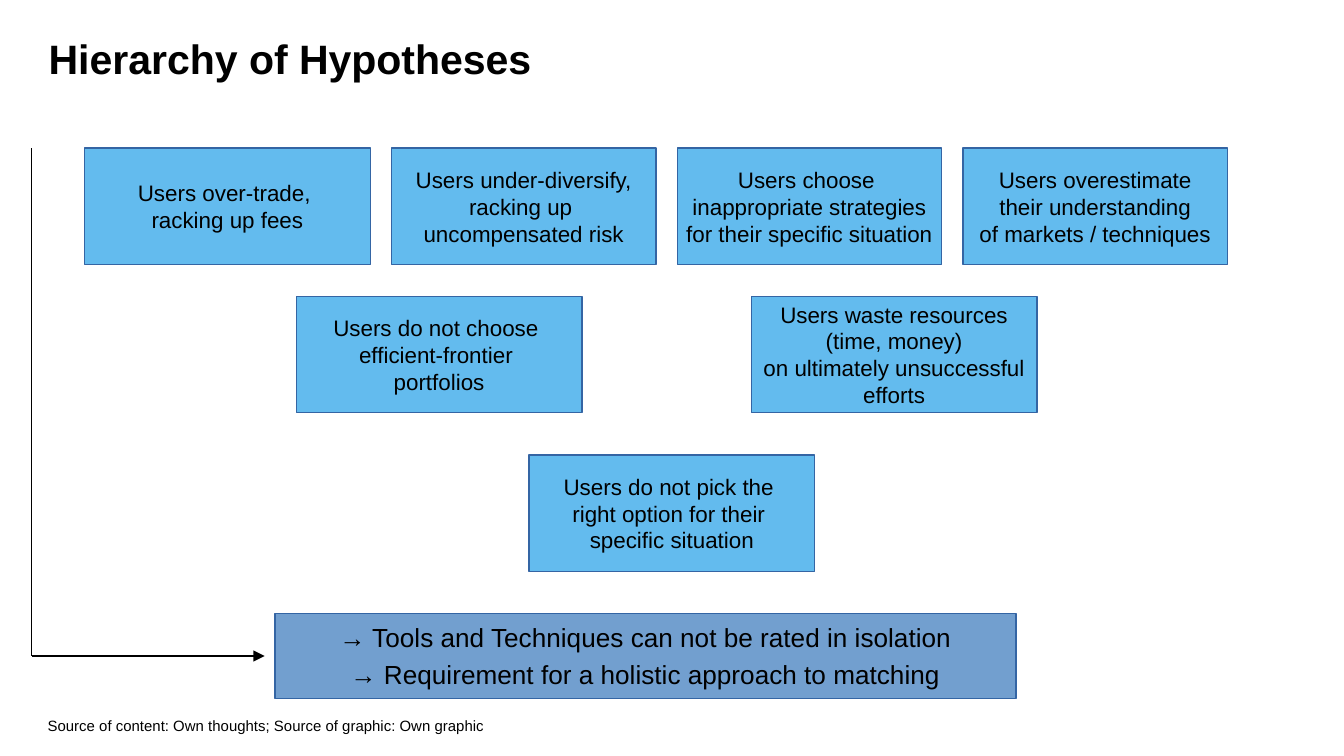
from typing import NamedTuple

from lxml.etree import SubElement
from pptx import Presentation
from pptx.dml.color import RGBColor
from pptx.enum.shapes import MSO_CONNECTOR, MSO_SHAPE
from pptx.enum.text import MSO_ANCHOR, PP_ALIGN
from pptx.oxml.ns import qn
from pptx.util import Cm, Pt

COLORS = {
    "text": "000000",
    "hypothesis": "63BBEE",
    "conclusion": "729FCF",
    "border": "3465A4",
    "line": "000000",
}
FONT = "Arial"
BOX_HEIGHT = 2.2


class Box(NamedTuple):
    text: str
    width: float = 5.4


class Row(NamedTuple):
    left: float
    top: float
    gap: float
    boxes: list[Box]


ROWS = [
    Row(1.6, 2.8, 0.4, [
        Box("Users over-trade, \nracking up fees"),
        Box("Users under-diversify,\nracking up \nuncompensated risk", 5),
        Box("Users choose \ninappropriate strategies\nfor their specific situation", 5),
        Box("Users overestimate\ntheir understanding\nof markets / techniques", 5),
    ]),
    Row(5.6, 5.6, 3.2, [
        Box("Users do not choose \nefficient-frontier \nportfolios"),
        Box("Users waste resources\n(time, money)\non ultimately unsuccessful\nefforts"),
    ]),
    Row(10, 8.6, 0, [
        Box("Users do not pick the \nright option for their \nspecific situation"),
    ]),
]


def color(name: str) -> RGBColor:
    return RGBColor.from_string(COLORS[name])


def write_text(text_frame, text: str, *, size: float, bold: bool = False,
               align: PP_ALIGN = PP_ALIGN.LEFT, space_before: float = 0) -> None:
    """Write one paragraph per line of text."""
    for index, line in enumerate(text.split("\n")):
        paragraph = text_frame.add_paragraph() if index else text_frame.paragraphs[0]
        paragraph.alignment = align
        paragraph.space_before = Pt(space_before if index else 0)
        run = paragraph.add_run()
        run.text = line
        run.font.name = FONT
        run.font.size = Pt(size)
        run.font.bold = bold
        run.font.color.rgb = color("text")


def add_label(slide, left: float, top: float, width: float, height: float,
              text: str, **text_format) -> None:
    shape = slide.shapes.add_textbox(Cm(left), Cm(top), Cm(width), Cm(height))
    frame = shape.text_frame
    frame.word_wrap = True
    frame.margin_left = frame.margin_right = frame.margin_top = frame.margin_bottom = 0
    write_text(frame, text, **text_format)


def add_box(slide, left: float, top: float, width: float, height: float,
            text: str, fill: str, **text_format) -> None:
    shape = slide.shapes.add_shape(
        MSO_SHAPE.RECTANGLE, Cm(left), Cm(top), Cm(width), Cm(height))
    shape.shadow.inherit = False
    shape.fill.solid()
    shape.fill.fore_color.rgb = color(fill)
    shape.line.color.rgb = color("border")
    shape.line.width = Pt(0.75)
    shape.text_frame.word_wrap = False
    shape.text_frame.vertical_anchor = MSO_ANCHOR.MIDDLE
    write_text(shape.text_frame, text, align=PP_ALIGN.CENTER, **text_format)


def add_line(slide, start: tuple[float, float], end: tuple[float, float],
             arrow: bool = False) -> None:
    connector = slide.shapes.add_connector(
        MSO_CONNECTOR.STRAIGHT, *map(Cm, start + end))
    connector.line.color.rgb = color("line")
    connector.line.width = Pt(0.75)
    if arrow:
        SubElement(connector.line._get_or_add_ln(), qn("a:tailEnd"), type="triangle")
    SubElement(connector._element.spPr, qn("a:effectLst"))


def main() -> None:
    presentation = Presentation()
    presentation.slide_width, presentation.slide_height = Cm(25.4), Cm(14.29)
    slide = presentation.slides.add_slide(presentation.slide_layouts[6])

    # Title and source note
    add_label(slide, 0.92, 0.64, 23.57, 0.84, "Hierarchy of Hypotheses",
              size=22, bold=True)
    add_label(slide, 0.9, 13.54, 23.6, 0.74,
              "Source of content: Own thoughts; Source of graphic: Own graphic", size=8)

    # Hypotheses, row by row
    for row in ROWS:
        left = row.left
        for box in row.boxes:
            add_box(slide, left, row.top, box.width, BOX_HEIGHT, box.text,
                    "hypothesis", size=12)
            left += box.width + row.gap

    # Path from the hypotheses to the conclusion
    corner = (0.6, 12.4)
    add_line(slide, corner, (5, 12.4), arrow=True)
    add_line(slide, (0.6, 2.8), corner)

    # Conclusion
    add_box(slide, 5.2, 11.6, 14, 1.6,
            "→ Tools and Techniques can not be rated in isolation\n"
            "→ Requirement for a holistic approach to matching",
            "conclusion", size=14, space_before=3)

    presentation.save("out.pptx")


if __name__ == "__main__":
    main()
